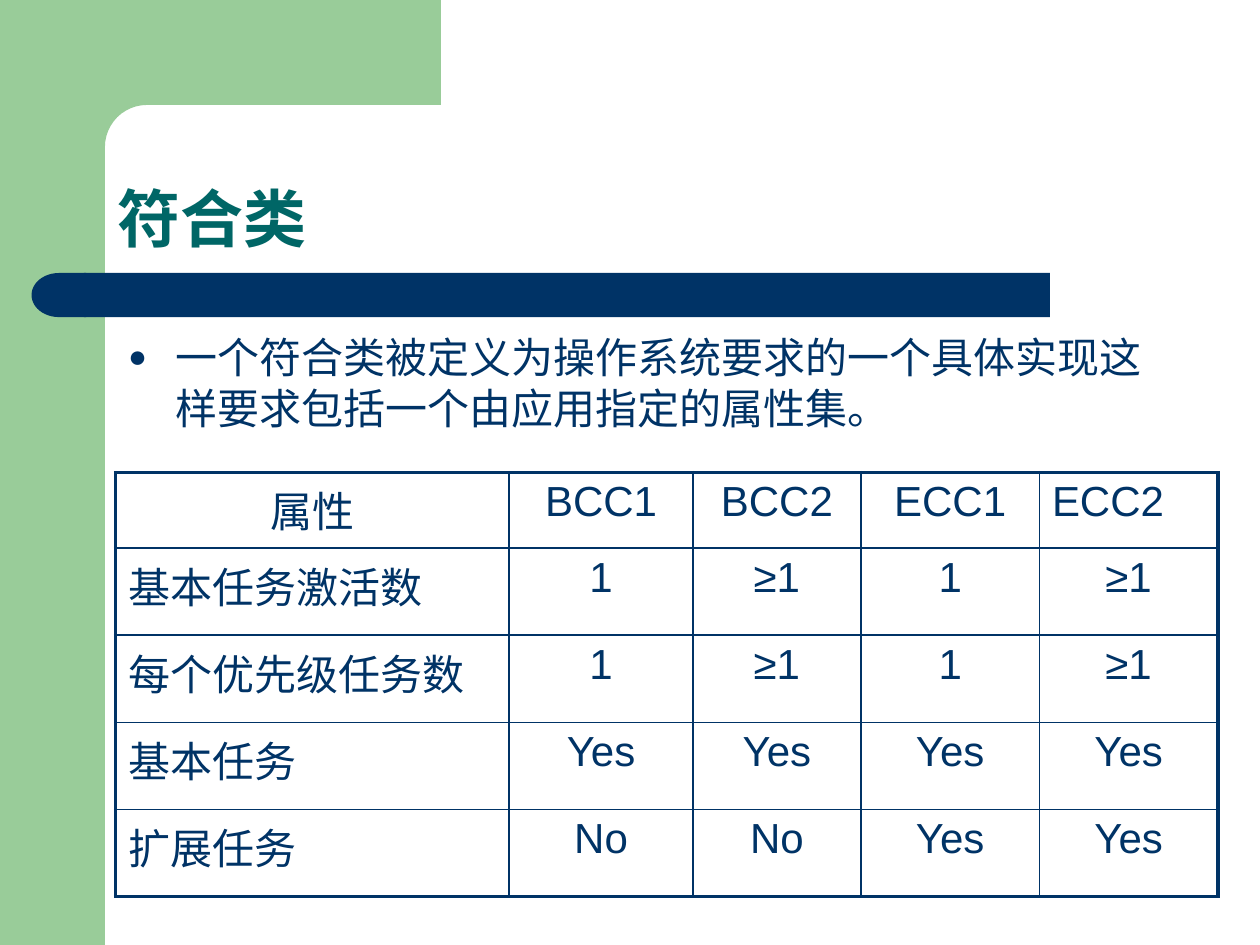
from math import cos, pi, sin

from lxml import etree
from pptx import Presentation
from pptx.dml.color import RGBColor
from pptx.enum.shapes import MSO_SHAPE
from pptx.enum.text import MSO_ANCHOR, MSO_AUTO_SIZE, PP_ALIGN
from pptx.oxml.ns import qn
from pptx.util import Inches, Pt

RECTANGLE, DELAY = MSO_SHAPE.RECTANGLE, MSO_SHAPE.FLOWCHART_DELAY
TOP, BOTTOM = MSO_ANCHOR.TOP, MSO_ANCHOR.BOTTOM
LEFT, CENTER = PP_ALIGN.LEFT, PP_ALIGN.CENTER
NO_FIT = MSO_AUTO_SIZE.NONE

GREEN = RGBColor(0x99, 0xCC, 0x99)
NAVY = RGBColor(0x00, 0x33, 0x66)
TEAL = RGBColor(0x00, 0x66, 0x66)

GRID_COLUMNS, GRID_ROWS = 12, 9
UNIT = Inches(10) / GRID_COLUMNS
THIN, THICK = 1, 2.25

COLUMN_WIDTHS = [3.75, 1.75, 1.6, 1.7, 1.7]
ROW_HEIGHTS = [0.72] + [0.83] * 4
ATTRIBUTES = [
    ["属性", "BCC1", "BCC2", "ECC1", "ECC2"],
    ["基本任务激活数", "1", "≥1", "1", "≥1"],
    ["每个优先级任务数", "1", "≥1", "1", "≥1"],
    ["基本任务", "Yes", "Yes", "Yes", "Yes"],
    ["扩展任务", "No", "No", "Yes", "Yes"],
]


def grid(*lengths):
    return [round(length * UNIT) for length in lengths]


def add_child(parent, tag, **attributes):
    return etree.SubElement(parent, qn(tag), attributes)


def write(frame, text, size=24, color=NAVY, bold=False, align=LEFT,
          line_spacing=None, percent_before=None, bullet=None):
    para = frame.paragraphs[0]
    para.alignment = align
    para.line_spacing = line_spacing
    para.space_before = Pt(0)
    properties = para._p.get_or_add_pPr()
    if percent_before:
        before = properties.find(qn("a:spcBef"))
        before.clear()
        add_child(before, "a:spcPct", val=str(percent_before * 1000))
    if bullet:
        indent = Inches(0.38)
        properties.set("marL", str(indent))
        properties.set("indent", str(-indent))
        bullet_color = add_child(properties, "a:buClr")
        add_child(bullet_color, "a:srgbClr", val=str(color))
        add_child(properties, "a:buSzPct", val="75000")
        add_child(properties, "a:buChar", char=bullet)
    span = para.add_run()
    span.text = text
    span.font.name = "Arial"
    span.font.size = Pt(size)
    span.font.bold = bold
    span.font.color.rgb = color


class SlideBuilder:
    def __init__(self, page):
        self.page = page
        self.shapes = page.shapes

    def paint(self, shape, color):
        shape.shadow.inherit = False
        shape.fill.solid()
        shape.fill.fore_color.rgb = color
        shape.line.fill.background()

    def block(self, kind, place, color, rotation=0):
        shape = self.shapes.add_shape(kind, *grid(*place))
        shape.rotation = rotation
        self.paint(shape, color)

    def outline(self, points, color):
        start, *others = [grid(*point) for point in points]
        builder = self.shapes.build_freeform(*start)
        builder.add_line_segments(others, close=True)
        self.paint(builder.convert_to_shape(), color)

    def placeholder(self, box, place, text, anchor=TOP, **style):
        box.left, box.top, box.width, box.height = grid(*place)
        self.shapes._spTree.append(box._element)
        frame = box.text_frame
        frame.auto_size = NO_FIT
        frame.word_wrap = True
        frame.vertical_anchor = anchor
        write(frame, text, **style)

    def border(self, cell, widths):
        properties = cell._tc.get_or_add_tcPr()
        for position, (side, width) in enumerate(widths.items()):
            line = etree.Element(qn(f"a:ln{side}"), w=str(Pt(width)))
            fill = add_child(line, "a:solidFill")
            add_child(fill, "a:srgbClr", val=str(NAVY))
            properties.insert(position, line)

    def table(self, left, top, column_widths, row_heights, rows):
        last_row, last_column = len(rows) - 1, len(column_widths) - 1
        place = grid(left, top, sum(column_widths), sum(row_heights))
        table = self.shapes.add_table(len(rows), len(column_widths), *place).table
        table.first_row = table.horz_banding = False
        for column, width in zip(table.columns, grid(*column_widths)):
            column.width = width
        for row, height in zip(table.rows, grid(*row_heights)):
            row.height = height
        for r, texts in enumerate(rows):
            for c, text in enumerate(texts):
                cell = table.cell(r, c)
                cell.fill.background()
                label = (c == 0 and r > 0) or (r == 0 and c == last_column)
                write(cell.text_frame, text, percent_before=20,
                      align=LEFT if label else CENTER)
                self.border(cell, {
                    "L": THICK if c == 0 else THIN,
                    "R": THICK if c == last_column else THIN,
                    "T": THICK if r == 0 else THIN,
                    "B": THICK if r == last_row else THIN,
                })


def main():
    deck = Presentation()
    deck.slide_width, deck.slide_height = grid(GRID_COLUMNS, GRID_ROWS)
    page = deck.slides.add_slide(deck.slide_layouts[1])
    builder = SlideBuilder(page)
    title, body = page.placeholders

    radius, steps = 0.4, 12
    angles = [pi / 2 * step / steps for step in range(steps + 1)]
    corner = [(1 + radius - radius * sin(angle), 1 + radius - radius * cos(angle))
              for angle in angles]
    builder.block(RECTANGLE, (0, 0, 1, GRID_ROWS), GREEN)
    builder.outline([(0.6, 0), (4.2, 0), (4.2, 1), *corner, (1, 1.54), (0.6, 1.54)],
                    GREEN)
    builder.block(RECTANGLE, (0.8, 2.6, 9.2, 0.42), NAVY)
    builder.block(DELAY, (0.3, 2.6, 0.52, 0.42), NAVY, rotation=180)

    builder.placeholder(title, (1, 1, 10.4, 1.5), "符合类", anchor=BOTTOM,
                        size=36, color=TEAL, bold=True, line_spacing=0.9)
    builder.placeholder(
        body, (1.1, 3.1, 10, 1.2),
        "一个符合类被定义为操作系统要求的一个具体实现这样要求包括一个由应用指定的属性集。",
        percent_before=20, bullet="●")
    builder.table(1.1, 4.5, COLUMN_WIDTHS, ROW_HEIGHTS, ATTRIBUTES)
    deck.save("out.pptx")


if __name__ == "__main__":
    main()
